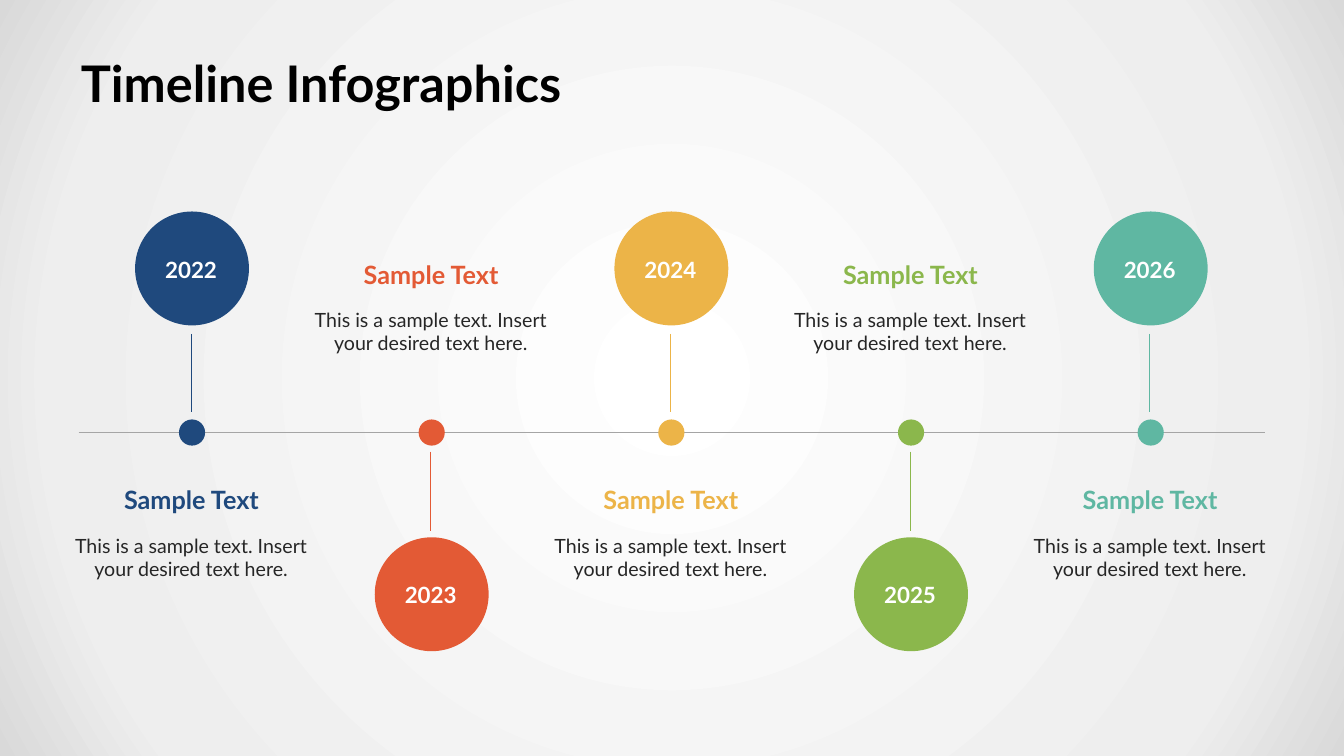
from pptx import Presentation
from pptx.dml.color import RGBColor
from pptx.enum.shapes import MSO_CONNECTOR, MSO_SHAPE
from pptx.enum.text import MSO_ANCHOR, PP_ALIGN
from pptx.oxml import parse_xml
from pptx.oxml.ns import nsdecls, qn
from pptx.util import Cm, Pt

COLORS = {
    "black": "000000", "white": "FFFFFF", "body": "262626", "axis": "A5A5A5",
    "navy": "1F497D", "red": "E35A35", "gold": "ECB448",
    "green": "8BB74C", "teal": "5FB7A2",
}
GLOW = [(0, "FFFFFF"), (81, "EEEEEE"), (100, "D9D9D9")]
YEARS = [("2022", "navy"), ("2023", "red"), ("2024", "gold"),
         ("2025", "green"), ("2026", "teal")]

# Vertical places in cm, for a disc above or below the axis
ABOVE = {"disc": 5.33, "year": 6.32, "stem": (8.41, 10.39), "head": 12.07, "body": 13.31}
BELOW = {"disc": 13.54, "year": 14.5, "stem": (11.38, 13.39), "head": 6.4, "body": 7.62}
FIRST, STEP = 4.84, 6.04
AXIS = 10.9
DISC, DOT = 2.87, 0.66

deck = Presentation()
deck.slide_width, deck.slide_height = Cm(33.87), Cm(19.05)
slide = deck.slides.add_slide(deck.slide_layouts[6])
shapes = slide.shapes

# Radial background
slide.background.fill.gradient()
grad = slide.background.fill._fill._gradFill
for child in list(grad):
    grad.remove(child)
stops = "".join(f'<a:gs pos="{pos * 1000}"><a:srgbClr val="{color}"/></a:gs>'
                for pos, color in GLOW)
grad.append(parse_xml(f'<a:gsLst {nsdecls("a")}>{stops}</a:gsLst>'))
grad.append(parse_xml(f'<a:path {nsdecls("a")} path="circle"><a:fillToRect '
                      'l="50000" t="50000" r="50000" b="50000"/></a:path>'))


def write(text, left, top, width, height, size, color, bold=True,
          align=PP_ALIGN.CENTER, wrap=True):
    """Add a one-paragraph text box, with lengths in cm."""
    box = shapes.add_textbox(Cm(left), Cm(top), Cm(width), Cm(height))
    frame = box.text_frame
    frame.text = text
    frame.word_wrap = wrap
    frame.vertical_anchor = MSO_ANCHOR.MIDDLE
    frame.paragraphs[0].alignment = align
    font = frame.paragraphs[0].runs[0].font
    font.name, font.size, font.bold = "Lato", Pt(size), bold
    font.color.rgb = RGBColor.from_string(COLORS[color])
    return frame


def rule(x1, y1, x2, y2, color):
    line = shapes.add_connector(MSO_CONNECTOR.STRAIGHT, Cm(x1), Cm(y1), Cm(x2), Cm(y2))
    line.line.width = Pt(0.75)
    line.line.color.rgb = RGBColor.from_string(COLORS[color])
    line._element.spPr.append(parse_xml(f'<a:effectLst {nsdecls("a")}/>'))


title = write("Timeline Infographics", 1.7, 1.09, 30.48, 1.98, 36, "black",
              align=PP_ALIGN.LEFT)
title.margin_left = title.margin_right = Cm(0.34)

rule(1.98, AXIS, 31.88, AXIS, "axis")

for i, (year, color) in enumerate(YEARS):
    mid = FIRST + i * STEP
    row = BELOW if i % 2 else ABOVE
    for top, size in ((row["disc"], DISC), (AXIS - DOT / 2, DOT)):
        disc = shapes.add_shape(MSO_SHAPE.OVAL, Cm(mid - size / 2), Cm(top),
                                Cm(size), Cm(size))
        disc.shadow.inherit = False
        disc.fill.solid()
        disc.fill.fore_color.rgb = RGBColor.from_string(COLORS[color])
        disc.line.fill.background()
    start, end = row["stem"]
    rule(mid - 0.02, start, mid - 0.02, end, color)
    write(year, mid - 0.94, row["year"], 1.83, 0.94, 16, "white", wrap=False)
    write("Sample Text", mid - 3.19, row["head"], 6.35, 1.02, 18, color)
    write("This is a sample text. Insert your desired text here.",
          mid - 3.4, row["body"], 6.76, 1.45, 14, "body", bold=False)

deck.save("out.pptx")
